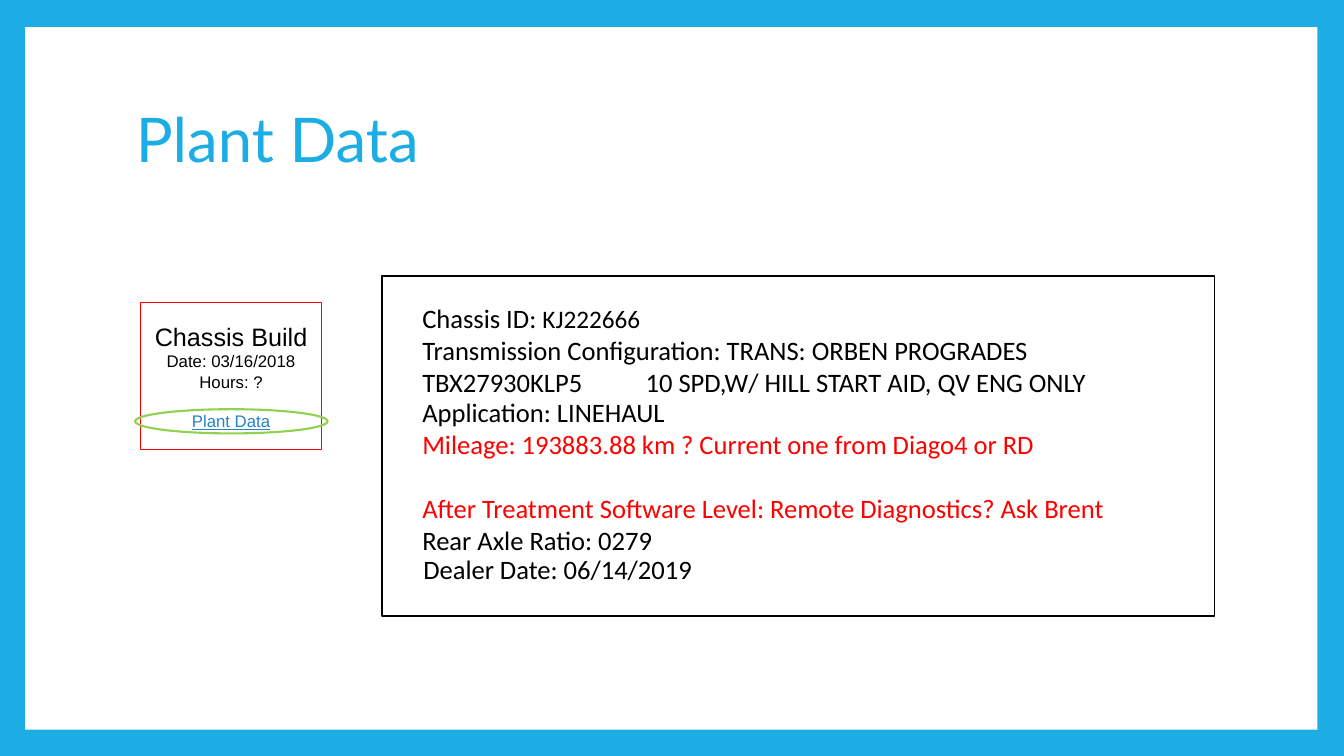
import pptx
import pptx.dml.color
import pptx.enum.shapes
import pptx.enum.text
import pptx.oxml
import pptx.oxml.ns
import pptx.util

Pt = pptx.util.Pt
Color = pptx.dml.color.RGBColor
Shape = pptx.enum.shapes.MSO_SHAPE
Align = pptx.enum.text.PP_ALIGN
Anchor = pptx.enum.text.MSO_ANCHOR

BLUE = Color(0x1C, 0xAD, 0xE4)
LINK = Color(0x26, 0x83, 0xC6)
GREEN = Color(0x92, 0xD0, 0x50)
RED = Color(0xFF, 0x00, 0x00)
BLACK = Color(0x00, 0x00, 0x00)
WHITE = Color(0xFF, 0xFF, 0xFF)

ENTRY = {"name": "Calibri", "size": Pt(19), "color": BLACK}
ALERT = ENTRY | {"color": RED}
CARD = {"name": "Arial", "size": Pt(12), "color": BLACK}

CARD_LINES = [
    ("Chassis Build", CARD | {"size": Pt(18)}, {}),
    ("Date: 03/16/2018", CARD, {}),
    ("Hours: ?", CARD, {}),
    ("Plant Data", CARD | {"color": LINK, "underline": True}, {"space_before": Pt(13.8)}),
]
ENTRIES = [
    (0, 18.7, [[("Chassis ID: ", ENTRY), ("KJ222666", ENTRY | {"size": Pt(18)})]]),
    (0, 41, [
        [("Transmission Configuration: TRANS: ORBEN PROGRADES", ENTRY)],
        [("TBX27930KLP5\t10 SPD,W/ HILL START AID, QV ENG ONLY", ENTRY)],
    ]),
    (0, 85.7, [[("Application: LINEHAUL", ENTRY)]]),
    (0, 108.7, [[("Mileage: 193883.88 km ? Current one from Diago4 or RD", ALERT)]]),
    (0, 154.1, [[("After Treatment Software Level: Remote Diagnostics? Ask Brent", ALERT)]]),
    (0, 177.1, [[("Rear Axle Ratio: 0279", ENTRY)]]),
    (0.7, 198, [[("Dealer Date: 06/14/2019", ENTRY)]]),
]


def add_span(para, text, style):
    """Add a run of text with the given font values."""
    span = para.add_run()
    span.text = text
    for key, value in style.items():
        if key == "color":
            span.font.color.rgb = value
        else:
            setattr(span.font, key, value)


def add_paragraph(frame, spans, layout):
    """Add a paragraph made of styled spans, using the empty first one if free."""
    first = frame.paragraphs[0]
    para = frame.add_paragraph() if first.runs else first
    for key, value in layout.items():
        setattr(para, key, value)
    for text, style in spans:
        add_span(para, text, style)
    return para


def add_outline(page, kind, box, fill=None, line=None, width=1):
    """Draw a preset shape with an optional fill and line."""
    shape = page.shapes.add_shape(kind, *map(Pt, box))
    shape.shadow.inherit = False
    if fill is None:
        shape.fill.background()
    else:
        shape.fill.solid()
        shape.fill.fore_color.rgb = fill
    if line is None:
        shape.line.fill.background()
    else:
        shape.line.color.rgb = line
        shape.line.width = Pt(width)
    return shape


def add_text_frame(page, box, **settings):
    """Add a wrapping text box and return its text frame."""
    frame = page.shapes.add_textbox(*map(Pt, box)).text_frame
    for key, value in ({"word_wrap": True} | settings).items():
        setattr(frame, key, value)
    return frame


def add_title(page, box):
    """Place the slide title."""
    frame = add_text_frame(page, box, vertical_anchor=Anchor.MIDDLE)
    style = {"name": "Lato", "size": Pt(44), "color": BLUE}
    add_paragraph(frame, [("Plant Data", style)], {"line_spacing": 0.9})


def add_build_card(page, box):
    """Place the chassis build card and the ring round its link."""
    left, top, width, height = box
    frame = add_outline(page, Shape.RECTANGLE, box, WHITE, RED).text_frame
    frame.word_wrap = True
    frame.vertical_anchor = Anchor.MIDDLE
    for text, style, layout in CARD_LINES:
        add_paragraph(frame, [(text, style)], {"alignment": Align.CENTER} | layout)
    ring = (left - 3.8, top + 76.3, width + 7.9, 17.3)
    add_outline(page, Shape.OVAL, ring, line=GREEN, width=1.5)


def add_tab_stop(para, position):
    """Give a paragraph one left tab stop."""
    stops = pptx.oxml.parse_xml(
        f'<a:tabLst {pptx.oxml.ns.nsdecls("a")}><a:tab pos="{Pt(position)}" algn="l"/></a:tabLst>'
    )
    para._p.get_or_add_pPr().append(stops)


def add_details(page, box):
    """Place the framed list of plant data entries."""
    left, top, width, height = box
    add_outline(page, Shape.RECTANGLE, box, line=BLACK, width=1.13)
    insets = dict.fromkeys(("margin_left", "margin_top", "margin_right", "margin_bottom"), 0)
    for shift, offset, lines in ENTRIES:
        place = (left + 28.8 + shift, top + offset, 547.2, 23 * len(lines))
        frame = add_text_frame(page, place, **insets)
        for spans in lines:
            para = add_paragraph(frame, spans, {})
            if any("\t" in text for text, style in spans):
                add_tab_stop(para, 159.5)


def main():
    """Build the plant data slide and save it."""
    deck = pptx.Presentation()
    deck.slide_width, deck.slide_height = Pt(960), Pt(540)
    page = deck.slides.add_slide(deck.slide_layouts[6])
    page.background.fill.solid()
    page.background.fill.fore_color.rgb = BLUE
    add_outline(page, Shape.RECTANGLE, (18, 19.4, 923, 501.8), WHITE)
    add_title(page, (90, 48.2, 777.6, 106.6))
    add_build_card(page, (100.3, 216, 129.6, 105.1))
    add_details(page, (272.9, 197.3, 594.7, 242.6))
    deck.save("out.pptx")


if __name__ == "__main__":
    main()
